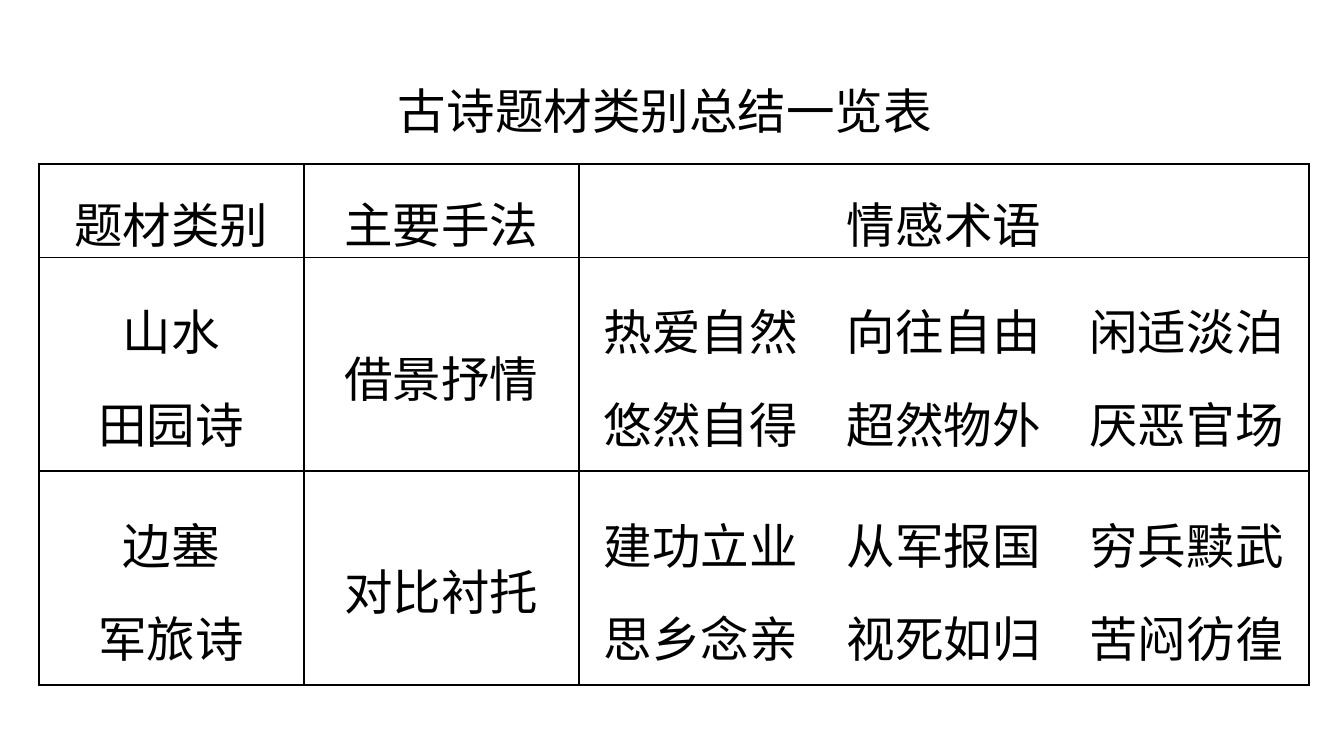
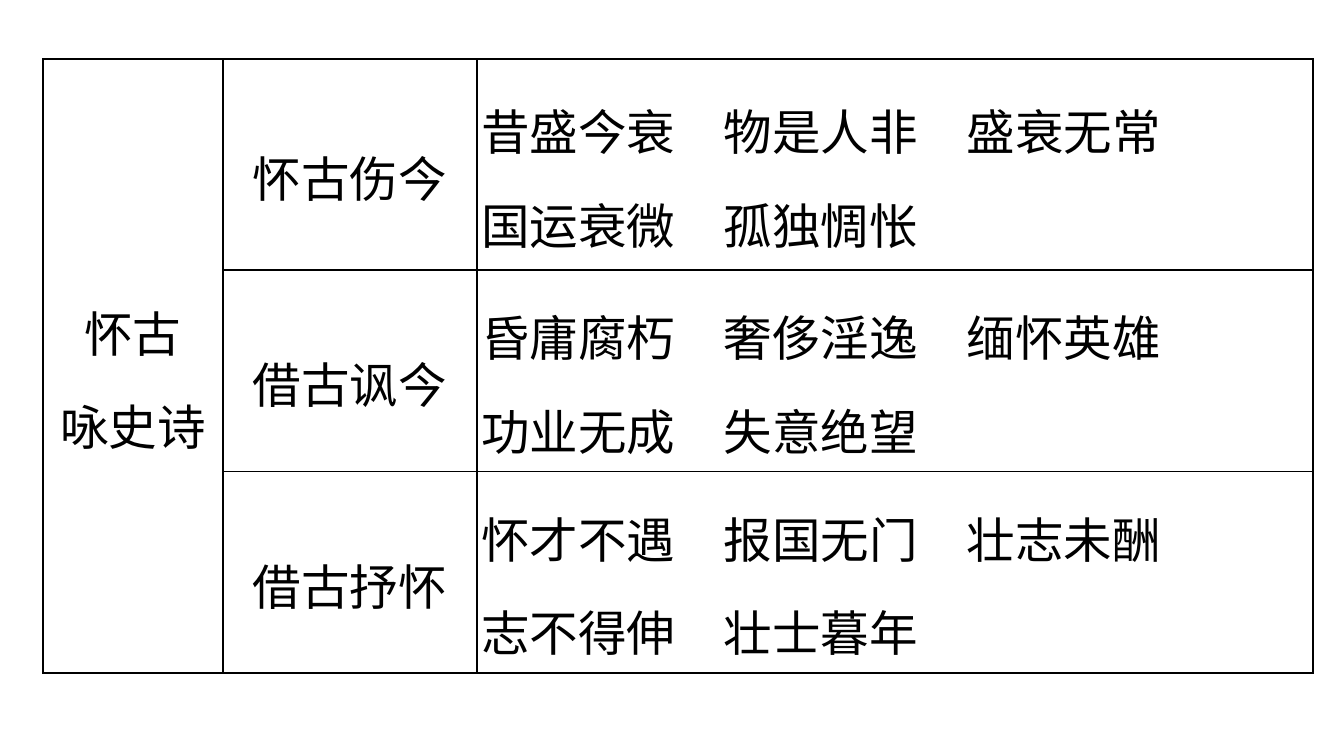
from dataclasses import dataclass
from typing import NamedTuple

from lxml.etree import SubElement
from pptx import Presentation
from pptx.dml.color import RGBColor
from pptx.enum.text import MSO_ANCHOR, MSO_AUTO_SIZE, PP_ALIGN
from pptx.oxml.ns import qn
from pptx.util import Inches, Pt

SLIDE_W = Inches(10)
SLIDE_H = SLIDE_W * 9 // 16


@dataclass(frozen=True)
class Theme:
    font: str = "Times New Roman"
    ink: str = "000000"
    size: Pt = Pt(26)
    leading: Pt = Pt(50)
    border: Pt = Pt(1)
    cell_inset: Inches = Inches(0.03)


THEME = Theme()


class Entry(NamedTuple):
    """Lines of one cell; each line is a sequence of terms."""
    lines: tuple
    align: PP_ALIGN = PP_ALIGN.CENTER


class Grid(NamedTuple):
    """A table; lengths are percentages of the slide's width and height."""
    left: float
    top: float
    cols: tuple
    rows: tuple
    entries: tuple
    merge_first_col: bool = False


def across(share: float) -> int:
    return round(SLIDE_W * share / 100)


def down(share: float) -> int:
    return round(SLIDE_H * share / 100)


def label(*lines: str) -> Entry:
    return Entry(tuple((line,) for line in lines))


def terms(*lines: str, align: PP_ALIGN = PP_ALIGN.CENTER) -> Entry:
    return Entry(tuple(tuple(line.split()) for line in lines), align)


def left_terms(*lines: str) -> Entry:
    return terms(*lines, align=PP_ALIGN.LEFT)


CATEGORIES = Grid(
    2.9, 21.69, (19.7, 20.5, 54.3), (9.42, 28.27, 28.27),
    (
        (label("题材类别"), label("主要手法"), label("情感术语")),
        (label("山水", "田园诗"), label("借景抒情"),
         terms("热爱自然 向往自由 闲适淡泊", "悠然自得 超然物外 厌恶官场")),
        (label("边塞", "军旅诗"), label("对比衬托"),
         terms("建功立业 从军报国 穷兵黩武", "思乡念亲 视死如归 苦闷彷徨")),
    ),
)

HISTORY = Grid(
    3.2, 7.82, (13.4, 18.9, 62.2), (27.91, 26.67, 26.67),
    (
        (label("怀古", "咏史诗"), label("怀古伤今"),
         left_terms("昔盛今衰 物是人非 盛衰无常", "国运衰微 孤独惆怅")),
        (None, label("借古讽今"),
         left_terms("昏庸腐朽 奢侈淫逸 缅怀英雄", "功业无成 失意绝望")),
        (None, label("借古抒怀"),
         left_terms("怀才不遇 报国无门 壮志未酬", "志不得伸 壮士暮年")),
    ),
    merge_first_col=True,
)


def write(tf, entry: Entry) -> None:
    for i, line in enumerate(entry.lines):
        p = tf.add_paragraph() if i else tf.paragraphs[0]
        p.alignment = entry.align
        p.line_spacing = THEME.leading
        r = p.add_run()
        r.text = "　".join(line)
        r.font.name = THEME.font
        r.font.size = THEME.size
        r.font.color.rgb = RGBColor.from_string(THEME.ink)


def outline(cell) -> None:
    tc_pr = cell._tc.get_or_add_tcPr()
    for side in ("lnL", "lnR", "lnT", "lnB"):
        ln = SubElement(tc_pr, qn(f"a:{side}"), w=str(THEME.border))
        SubElement(SubElement(ln, qn("a:solidFill")), qn("a:srgbClr"), val=THEME.ink)
    cell.fill.background()


def add_title(s, text: str) -> None:
    sp = s.shapes.title
    sp.left, sp.top = across(3.4), down(5.16)
    sp.width, sp.height = across(92.2), down(12.62)
    tf = sp.text_frame
    tf.word_wrap = True
    tf.auto_size = MSO_AUTO_SIZE.SHAPE_TO_FIT_TEXT
    tf.vertical_anchor = MSO_ANCHOR.TOP
    write(tf, label(text))


def add_grid(s, grid: Grid) -> None:
    table = s.shapes.add_table(
        len(grid.rows), len(grid.cols), across(grid.left), down(grid.top),
        across(sum(grid.cols)), down(sum(grid.rows))).table
    table.first_row = table.horz_banding = False
    for col, share in zip(table.columns, grid.cols):
        col.width = across(share)
    for row, share, entries in zip(table.rows, grid.rows, grid.entries):
        row.height = down(share)
        for cell, entry in zip(row.cells, entries):
            outline(cell)
            cell.vertical_anchor = MSO_ANCHOR.MIDDLE
            cell.margin_left = cell.margin_right = THEME.cell_inset
            cell.margin_top = cell.margin_bottom = 0
            if entry:
                write(cell.text_frame, entry)
    if grid.merge_first_col:
        table.cell(0, 0).merge(table.cell(len(grid.rows) - 1, 0))


def main() -> None:
    prs = Presentation()
    prs.slide_width, prs.slide_height = SLIDE_W, SLIDE_H
    title_only, blank = prs.slide_layouts[5], prs.slide_layouts[6]

    s = prs.slides.add_slide(title_only)
    add_title(s, "古诗题材类别总结一览表")
    add_grid(s, CATEGORIES)

    s = prs.slides.add_slide(blank)
    add_grid(s, HISTORY)

    prs.save("out.pptx")


if __name__ == "__main__":
    main()
